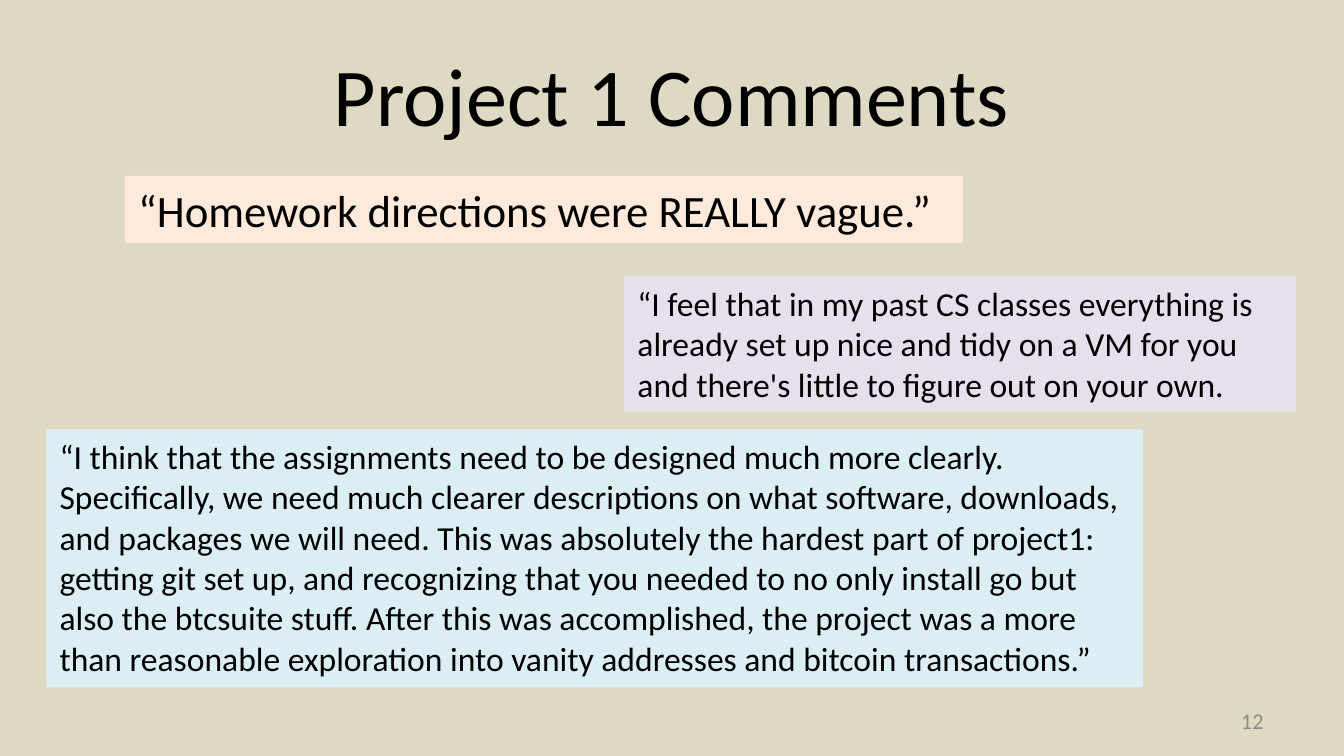
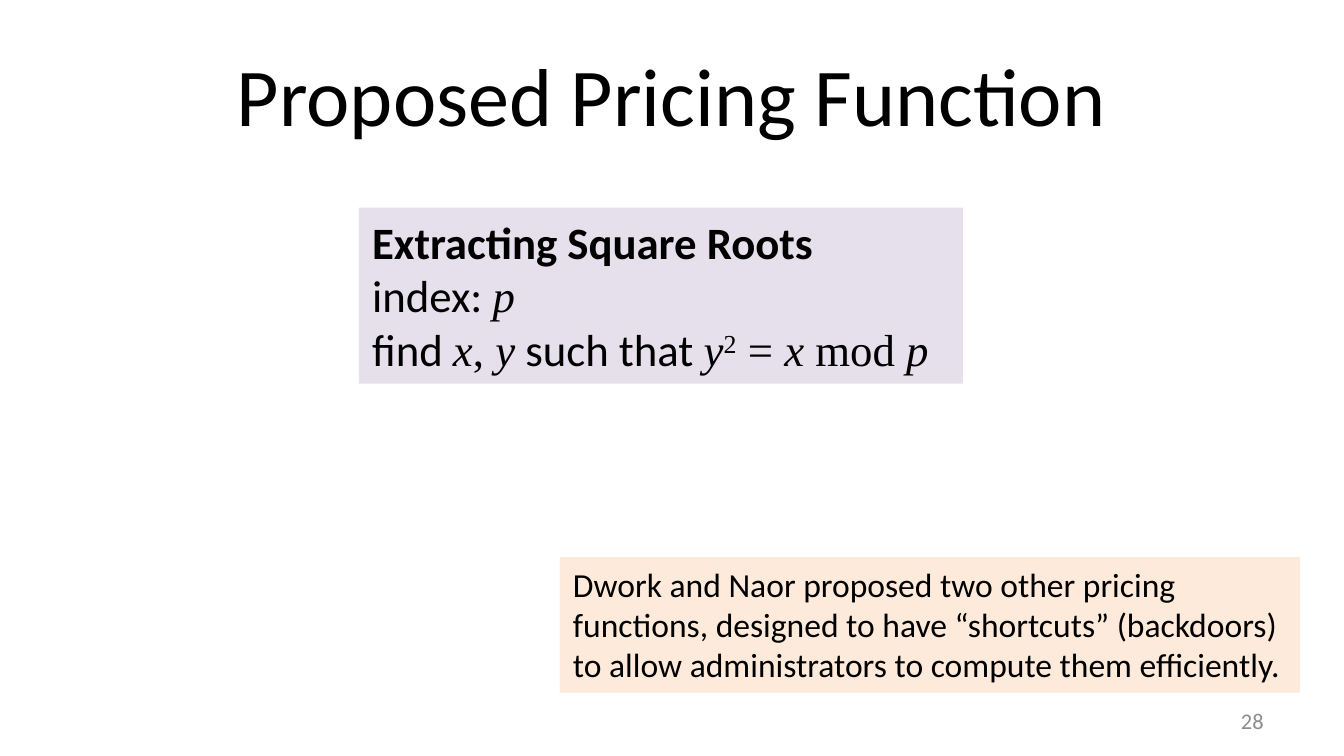
from pptx import Presentation
from pptx import util as u
from pptx.dml.color import RGBColor
from pptx.enum import text

PX = 4572  # EMU per px, 200 px to the inch
SLIDE_SIZE = (2000, 1125)
TITLE_BOX = (100, 45, 1800, 188)
NUMBER_BOX = (1433, 1043, 467, 60)

BLACK, GREY, WHITE, SAND = "000000", "8C8C8C", "FFFFFF", "DDD9C3"
PEACH, AQUA, LILAC = "FDEADA", "DBEEF4", "E6E0EC"

# Style of a run: font, bold, italic, baseline shift
PLAIN = ("Calibri", False, False, None)
BOLD = ("Calibri", True, False, None)
MATH = ("Times New Roman", False, False, None)
VARIABLE = ("Times New Roman", False, True, None)
POWER = ("Times New Roman", False, False, 30000)

VAGUE = "“Homework directions were REALLY vague.”"
UNCLEAR = (
    "“I think that the assignments need to be designed much more clearly. "
    "Specifically, we need much clearer descriptions on what software, downloads, "
    "and packages we will need. This was absolutely the hardest part of project1: "
    "getting git set up, and recognizing that you needed to no only install go but "
    "also the btcsuite stuff. After this was accomplished, the project was a more "
    "than reasonable exploration into vanity addresses and bitcoin transactions.”"
)
TIDY = (
    "“I feel that in my past CS classes everything is already set up nice and tidy "
    "on a VM for you and there's little to figure out on your own."
)
SQUARE_ROOTS = [
    [("Extracting Square Roots", BOLD)],
    [("index: ", PLAIN), ("p", VARIABLE)],
    [("find ", PLAIN), ("x", VARIABLE), (", ", MATH), ("y", VARIABLE),
     (" such that ", PLAIN), ("y", VARIABLE), ("2", POWER), (" = ", MATH),
     ("x", VARIABLE), (" mod ", MATH), ("p", VARIABLE)],
]
SHORTCUTS = (
    "Dwork and Naor proposed two other pricing functions, designed to have "
    "“shortcuts” (backdoors) to allow administrators to compute them efficiently."
)

# Each note: box, fill, text size, wraps, content
SLIDES = [
    {"title": "Project 1 Comments", "number": "12", "background": SAND, "notes": [
        ((186, 262, 1247, 100), PEACH, 24, False, VAGUE),
        ((69, 639, 1632, 384), AQUA, 18, True, UNCLEAR),
        ((929, 411, 1000, 202), LILAC, 18, True, TIDY),
    ]},
    {"title": "Proposed Pricing Function", "number": "28", "background": WHITE, "notes": [
        ((534, 309, 899, 262), LILAC, 24, False, SQUARE_ROOTS),
        ((833, 829, 1102, 202), PEACH, 18, True, SHORTCUTS),
    ]},
]


def paint(fill, color):
    fill.solid()
    fill.fore_color.rgb = RGBColor.from_string(color)


def add_run(paragraph, words, style, size, color):
    face, bold, italic, baseline = style
    run = paragraph.add_run()
    run.text = words
    font = run.font
    font.name, font.size, font.bold, font.italic = face, u.Pt(size), bold, italic
    paint(font.fill, color)
    if baseline:
        run._r.get_or_add_rPr().set("baseline", str(baseline))


def add_text(slide, box, content, size, color=BLACK, align=text.PP_ALIGN.LEFT,
             anchor=text.MSO_ANCHOR.MIDDLE, wraps=True):
    """Add a text box; content is a string or a list of paragraphs of (words, style)."""
    area = slide.shapes.add_textbox(*(n * PX for n in box))
    frame = area.text_frame
    frame.word_wrap = wraps
    frame.vertical_anchor = anchor
    lines = [[(content, PLAIN)]] if isinstance(content, str) else content
    for i, line in enumerate(lines):
        paragraph = frame.add_paragraph() if i else frame.paragraphs[0]
        paragraph.alignment = align
        for words, style in line:
            add_run(paragraph, words, style, size, color)
    return area


def add_note(slide, box, fill, size, wraps, content):
    note = add_text(slide, box, content, size, anchor=text.MSO_ANCHOR.TOP, wraps=wraps)
    note.text_frame.auto_size = text.MSO_AUTO_SIZE.SHAPE_TO_FIT_TEXT
    paint(note.fill, fill)


def add_slide(deck, title, number, background, notes):
    slide = deck.slides.add_slide(deck.slide_layouts[6])
    paint(slide.background.fill, background)
    add_text(slide, TITLE_BOX, title, 44, align=text.PP_ALIGN.CENTER)
    add_text(slide, NUMBER_BOX, number, 12, GREY, text.PP_ALIGN.RIGHT)
    for note in notes:
        add_note(slide, *note)


def main():
    deck = Presentation()
    deck.slide_width, deck.slide_height = (n * PX for n in SLIDE_SIZE)
    for content in SLIDES:
        add_slide(deck, **content)
    deck.save("out.pptx")


if __name__ == "__main__":
    main()
